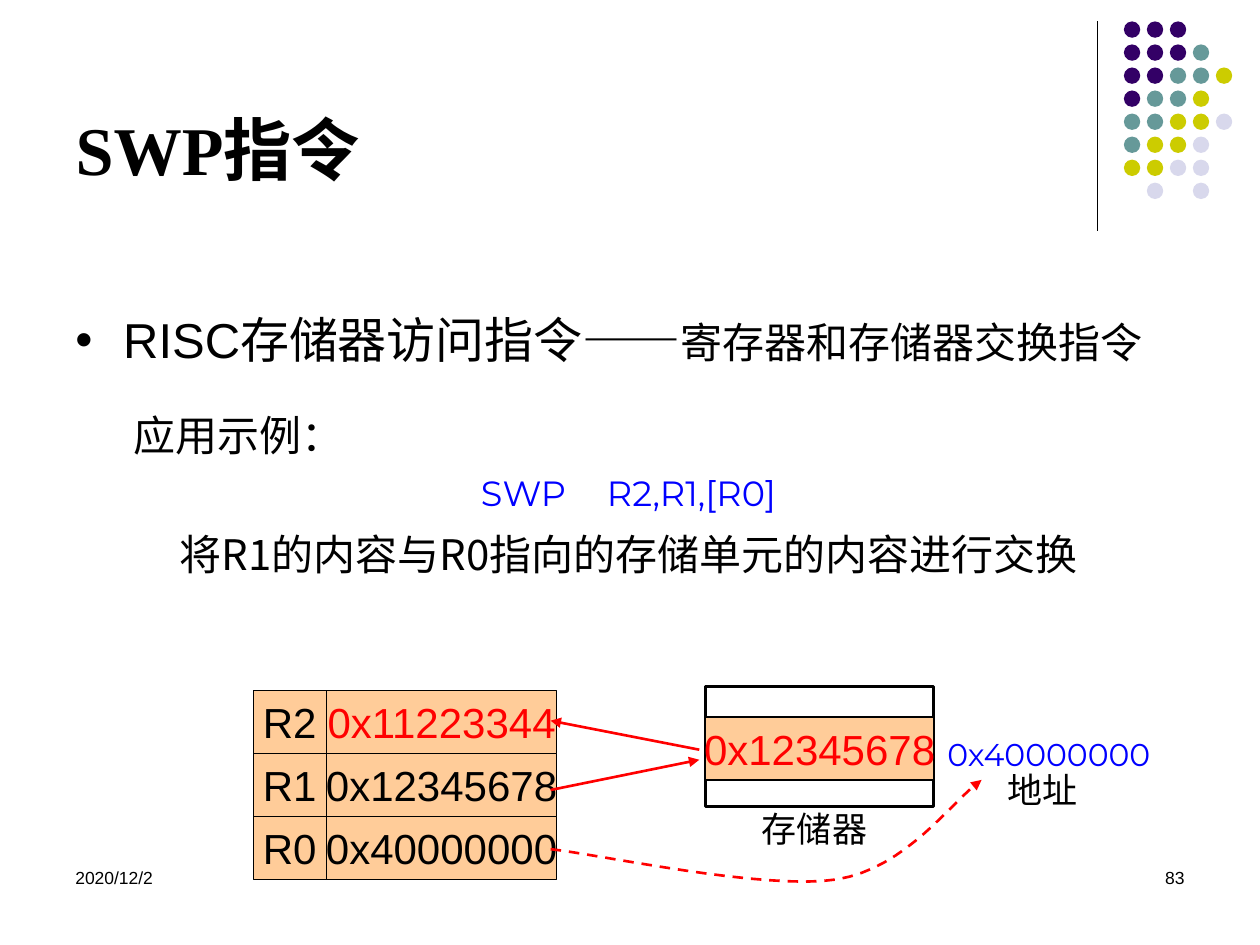
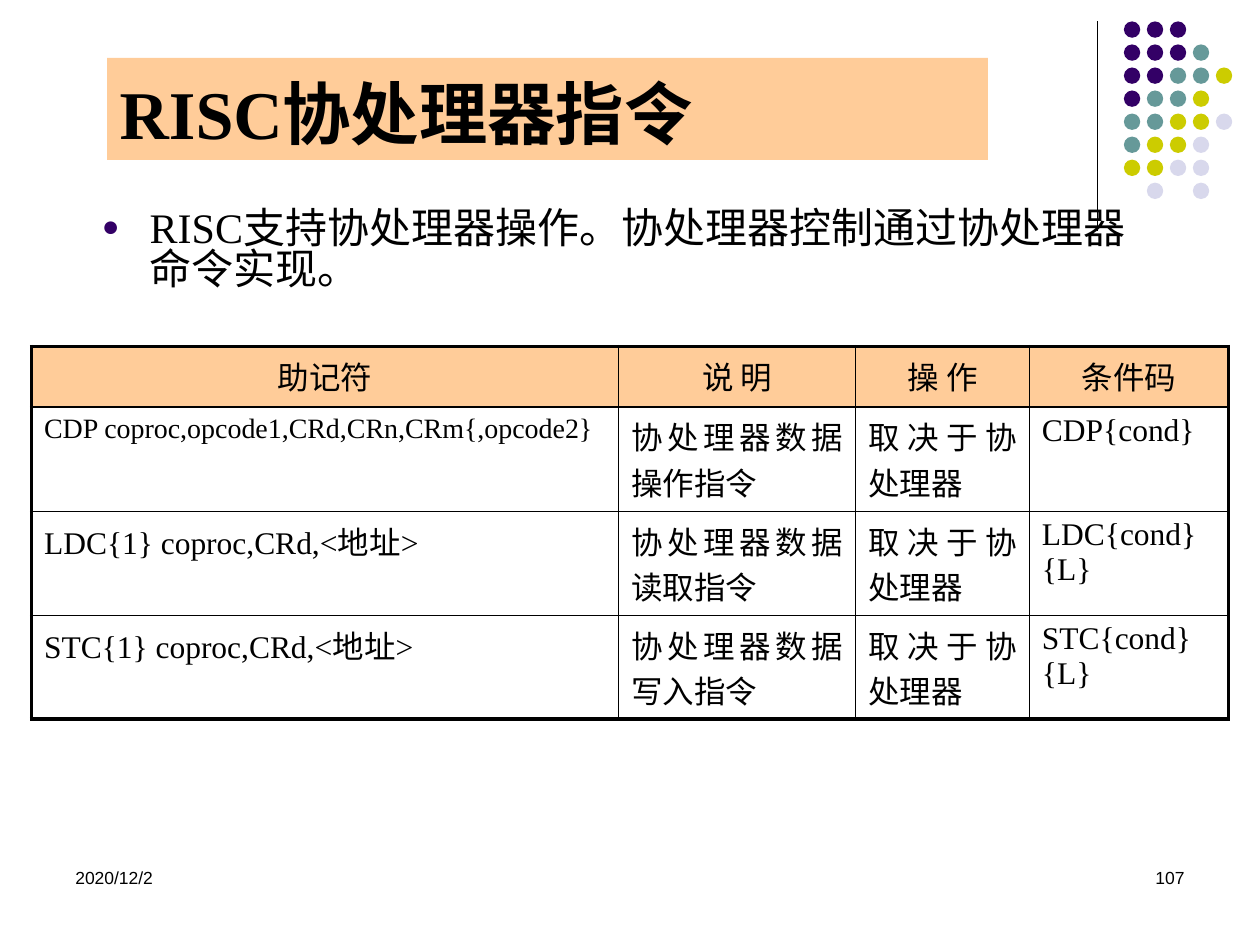
from lxml import etree
from pptx import Presentation
from pptx.dml.color import RGBColor
from pptx.enum import dml, shapes, text
from pptx.oxml import ns
from pptx.util import Inches, Pt

BLACK, WHITE, RED, BLUE, PEACH = "000000", "FFFFFF", "FF0000", "0000FF", "FFCC99"
PURPLE = "330066"
SANS, SERIF, CJK, ROUND = "Arial", "Times New Roman", "Noto Sans CJK JP", "Montserrat"
LEFT, CENTER, RIGHT, JUSTIFY = (
    text.PP_ALIGN.LEFT, text.PP_ALIGN.CENTER, text.PP_ALIGN.RIGHT, text.PP_ALIGN.JUSTIFY)
TOP, MIDDLE, BOTTOM = text.MSO_ANCHOR.TOP, text.MSO_ANCHOR.MIDDLE, text.MSO_ANCHOR.BOTTOM

DATE = "2020/12/2"
DOT_COLORS = {"P": PURPLE, "T": "669999", "Y": "CCCC00", "L": "D8D8EC"}
DOT_ROWS = ["PPP", "PPPT", "PPTTY", "PTTY", "TTYYL", "TYYL", "YYLL", ".L.L"]

SWAP = {"title": "SWP指令", "number": "83", "title_at": (0.5, 0.13, 8.25, 1.42)}
SWAP_TOPIC = [("RISC存储器访问指令——", 28), ("寄存器和存储器交换指令", 24)]
SWAP_EXAMPLE = [
    ("应用示例：", dict(size=24, name=CJK), JUSTIFY, 0),
    ("SWP\tR2,R1,[R0]", dict(size=20, name=ROUND, color=BLUE), CENTER, 6.5),
    ("将R1的内容与R0指向的存储单元的内容进行交换", dict(size=24, name=CJK), CENTER, 8.5),
]
REGISTERS = [("R2", "0x11223344", RED), ("R1", "0x12345678", BLACK), ("R0", "0x40000000", BLACK)]
MEMORY_VALUE = "0x12345678"
ADDRESS_VALUE = "0x40000000"
CAPTIONS = [("存储器", 5.6, 6.36), ("地址", 7.41, 6.05)]
SWAP_ARROWS = [((4.37, 6.27), (5.55, 6.03)), ((5.55, 5.95), (4.37, 5.72))]
POINTER_CURVES = [
    [(4.37, 6.74), (4.75, 6.78), (6.07, 7.07), (6.64, 6.98)],
    [(6.64, 6.98), (7.2, 6.89), (7.55, 6.36), (7.79, 6.19)],
]

COPROCESSOR = {"title": "RISC协处理器指令", "number": "107", "title_at": (0.85, 0.46, 6.99, 0.81)}
COPROCESSOR_TOPIC = "RISC支持协处理器操作。协处理器控制通过协处理器命令实现。"
COLUMN_WIDTHS = [4.66, 1.88, 1.38, 1.58]
ROW_HEIGHTS = [0.48, 0.83, 0.77, 0.77]
INSTRUCTIONS = [
    ["助记符", "说 明", "操 作", "条件码"],
    ["CDP coproc,opcode1,CRd,CRn,CRm{,opcode2}", "协处理器数据操作指令", "取决于协处理器", "CDP{cond}"],
    ["LDC{1} coproc,CRd,<地址>", "协处理器数据读取指令", "取决于协处理器", "LDC{cond}{L}"],
    ["STC{1} coproc,CRd,<地址>", "协处理器数据写入指令", "取决于协处理器", "STC{cond}{L}"],
]


def rgb(value):
    return RGBColor.from_string(value)


def inches(values):
    return [Inches(value) for value in values]


def add_xml(parent, tag, **attributes):
    return etree.SubElement(parent, ns.qn(tag), attributes)


def add_run(paragraph, words, color=BLACK, **font_format):
    run = paragraph.add_run()
    run.text = words
    values = {"name": SANS, "bold": False, **font_format}
    values["size"] = Pt(values["size"])
    for key, value in values.items():
        setattr(run.font, key, value)
    run.font.color.rgb = rgb(color)
    add_xml(run.font._element, "a:ea", typeface=CJK)


def set_frame(frame, wrap=True, anchor=TOP):
    settings = {"auto_size": text.MSO_AUTO_SIZE.NONE, "word_wrap": wrap, "vertical_anchor": anchor}
    for key, value in settings.items():
        setattr(frame, key, value)
    return frame.paragraphs[0]


def add_text(slide, at, words="", align=LEFT, wrap=True, anchor=TOP, **font_format):
    frame = slide.shapes.add_textbox(*inches(at)).text_frame
    paragraph = set_frame(frame, wrap, anchor)
    paragraph.alignment = align
    if words:
        add_run(paragraph, words, **font_format)
    return frame


def add_block(slide, kind, at, fill, line=None):
    block = slide.shapes.add_shape(kind, *inches(at))
    block.shadow.inherit = False
    block.fill.solid()
    block.fill.fore_color.rgb = rgb(fill)
    if line:
        block.line.color.rgb = rgb(BLACK)
        block.line.width = Pt(line)
    else:
        block.line.fill.background()
    return block


def add_value(slide, at, words, color=BLACK):
    block = add_block(slide, shapes.MSO_SHAPE.RECTANGLE, at, PEACH, 0.75)
    paragraph = set_frame(block.text_frame, wrap=False, anchor=MIDDLE)
    paragraph.alignment = CENTER
    add_run(paragraph, words, size=24, color=color)


def set_line(line, color, width, arrow=False):
    line.color.rgb = rgb(color)
    line.width = Pt(width)
    if arrow:
        add_xml(line._get_or_add_ln(), "a:tailEnd", type="triangle")


def add_line(slide, start, end, color, width, arrow=False):
    connector = slide.shapes.add_connector(
        shapes.MSO_CONNECTOR.STRAIGHT, *inches(start), *inches(end))
    set_line(connector.line, color, width, arrow)
    add_xml(connector._element.spPr, "a:effectLst")


def add_bullet(paragraph, char, color=None, percent=None):
    properties = paragraph._p.get_or_add_pPr()
    properties.set("marL", str(Inches(0.38)))
    properties.set("indent", str(Inches(-0.38)))
    if color:
        add_xml(add_xml(properties, "a:buClr"), "a:srgbClr", val=color)
    if percent:
        add_xml(properties, "a:buSzPct", val=str(percent * 1000))
    add_xml(properties, "a:buFont", typeface=SANS)
    add_xml(properties, "a:buChar", char=char)


def add_base_slide(deck, content):
    slide = deck.slides.add_slide(deck.slide_layouts[5])
    add_line(slide, (8.71, 0.17), (8.71, 1.83), BLACK, 0.75)
    for row, dots in enumerate(DOT_ROWS):
        for column, dot in enumerate(dots):
            if dot in DOT_COLORS:
                at = (8.92 + column * 0.73 / 4, 0.17 + row * 1.28 / 7, 0.13, 0.13)
                add_block(slide, shapes.MSO_SHAPE.OVAL, at, DOT_COLORS[dot])
    title = slide.shapes.title
    for key, value in zip(("left", "top", "width", "height"), inches(content["title_at"])):
        setattr(title, key, value)
    heading = set_frame(title.text_frame, anchor=BOTTOM)
    heading.alignment = LEFT
    add_run(heading, content["title"], size=39, name=SERIF, bold=True)
    add_text(slide, (0.5, 6.83, 2.33, 0.5), DATE, size=10)
    add_text(slide, (7.17, 6.83, 2.33, 0.5), content["number"], RIGHT, size=10)
    return slide


def bezier(curve, t):
    weights = ((1 - t) ** 3, 3 * t * (1 - t) ** 2, 3 * t * t * (1 - t), t ** 3)
    return [Inches(sum(w * point[axis] for w, point in zip(weights, curve))) for axis in (0, 1)]


def add_pointer(slide):
    steps = 16
    points = [bezier(curve, step / steps) for curve in POINTER_CURVES for step in range(1, steps + 1)]
    builder = slide.shapes.build_freeform(*inches(POINTER_CURVES[0][0]))
    builder.add_line_segments(points, close=False)
    pointer = builder.convert_to_shape()
    pointer.shadow.inherit = False
    pointer.fill.background()
    pointer.line.dash_style = dml.MSO_LINE.DASH
    set_line(pointer.line, RED, 1.5, arrow=True)


def build_swap(deck):
    slide = add_base_slide(deck, SWAP)
    topic = add_text(slide, (0.5, 2.41, 9.17, 0.67)).paragraphs[0]
    add_bullet(topic, "•")
    for words, size in SWAP_TOPIC:
        add_run(topic, words, size=size)

    example = add_text(slide, (0.96, 3.2, 8.06, 1.6))
    for index, (words, font_format, align, before) in enumerate(SWAP_EXAMPLE):
        paragraph = example.add_paragraph() if index else example.paragraphs[0]
        paragraph.alignment = align
        paragraph.space_before = Pt(before)
        add_run(paragraph, words, **font_format)

    for row, (register, value, color) in enumerate(REGISTERS):
        top = 5.48 + row * 0.5
        add_value(slide, (2.01, top, 0.58, 0.5), register)
        add_value(slide, (2.59, top, 1.83, 0.5), value, color)
    add_block(slide, shapes.MSO_SHAPE.RECTANGLE, (5.6, 5.45, 1.81, 0.95), WHITE, 1.5)
    add_value(slide, (5.6, 5.69, 1.81, 0.5), MEMORY_VALUE, RED)
    add_text(slide, (7.41, 5.73, 1.83, 0.5), ADDRESS_VALUE, CENTER, False, MIDDLE,
             size=18, name=ROUND, color=BLUE)
    for words, left, top in CAPTIONS:
        add_text(slide, (left, top, 1.73, 0.43), words, CENTER, size=20)
    add_pointer(slide)
    for start, end in SWAP_ARROWS:
        add_line(slide, start, end, RED, 1.5, arrow=True)


def set_borders(cell, outer_sides):
    properties = cell._tc.get_or_add_tcPr()
    for side in "LRTB":
        width = 2.25 if outer_sides[side] else 1
        border = add_xml(properties, f"a:ln{side}", w=str(Pt(width)))
        add_xml(add_xml(border, "a:solidFill"), "a:srgbClr", val=BLACK)


def build_coprocessor(deck):
    slide = add_base_slide(deck, COPROCESSOR)
    slide.shapes.title.fill.solid()
    slide.shapes.title.fill.fore_color.rgb = rgb(PEACH)
    topic = add_text(slide, (0.71, 1.62, 8.58, 0.9)).paragraphs[0]
    topic.line_spacing = 0.82
    add_bullet(topic, "●", PURPLE, 70)
    add_run(topic, COPROCESSOR_TOPIC, size=24, name=SERIF)

    last_row, last_column = len(ROW_HEIGHTS) - 1, len(COLUMN_WIDTHS) - 1
    table = slide.shapes.add_table(
        last_row + 1, last_column + 1, *inches((0.25, 2.75, 9.5, 2.85))).table
    table.first_row = table.horz_banding = False
    for column, width in zip(table.columns, COLUMN_WIDTHS):
        column.width = Inches(width)
    for row, height in zip(table.rows, ROW_HEIGHTS):
        row.height = Inches(height)
    for row, entries in enumerate(INSTRUCTIONS):
        for column, words in enumerate(entries):
            cell = table.cell(row, column)
            set_borders(cell, {"L": column == 0, "R": column == last_column,
                               "T": row == 0, "B": row == last_row})
            cell.fill.solid()
            cell.fill.fore_color.rgb = rgb(WHITE if row else PEACH)
            paragraph = cell.text_frame.paragraphs[0]
            paragraph.alignment = JUSTIFY if row else CENTER
            add_run(paragraph, words, size=16 if (row, column) == (1, 0) else 18, name=SERIF)


def main():
    deck = Presentation()
    deck.slide_width, deck.slide_height = inches((10, 7.5))
    build_swap(deck)
    build_coprocessor(deck)
    deck.save("out.pptx")


if __name__ == "__main__":
    main()
